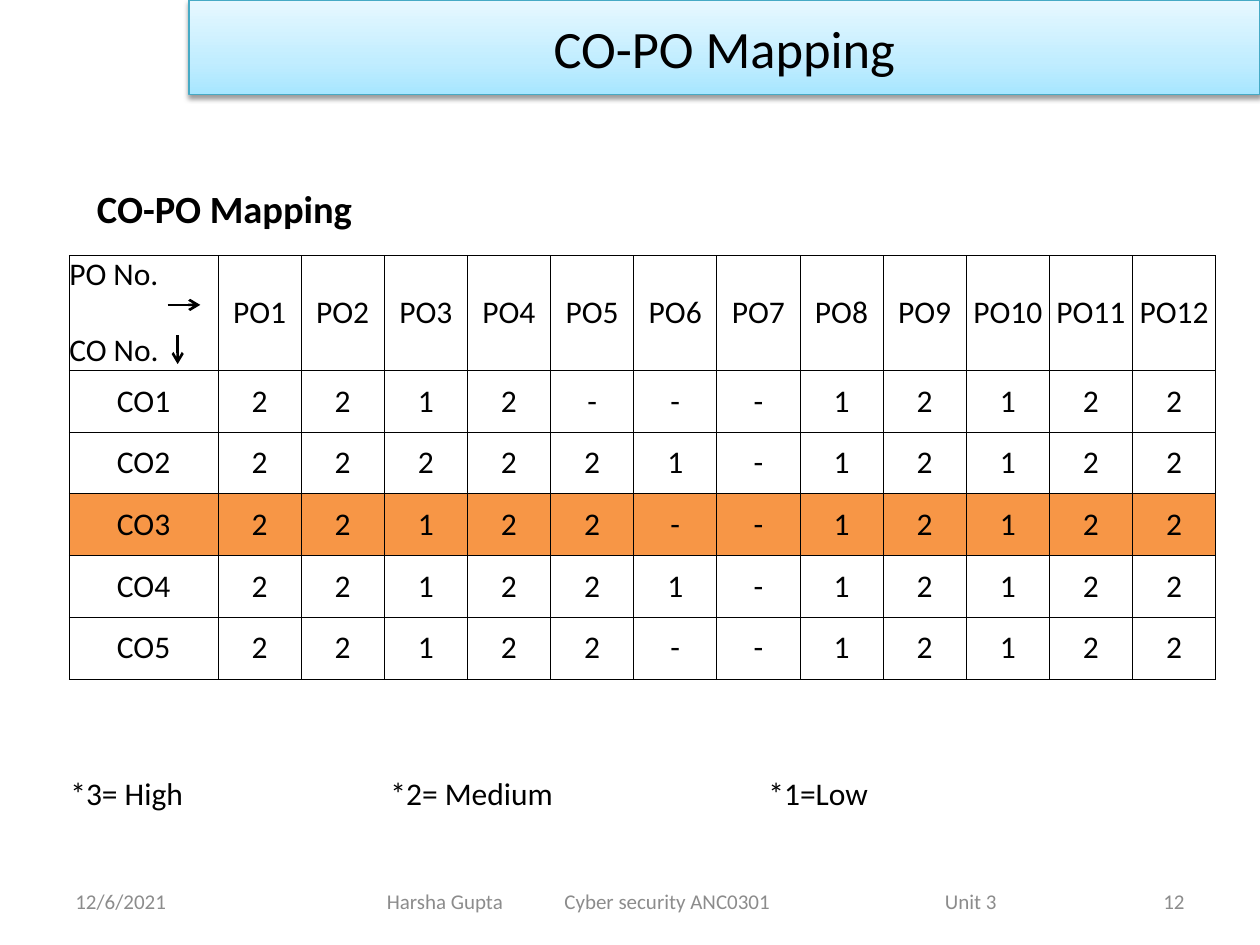
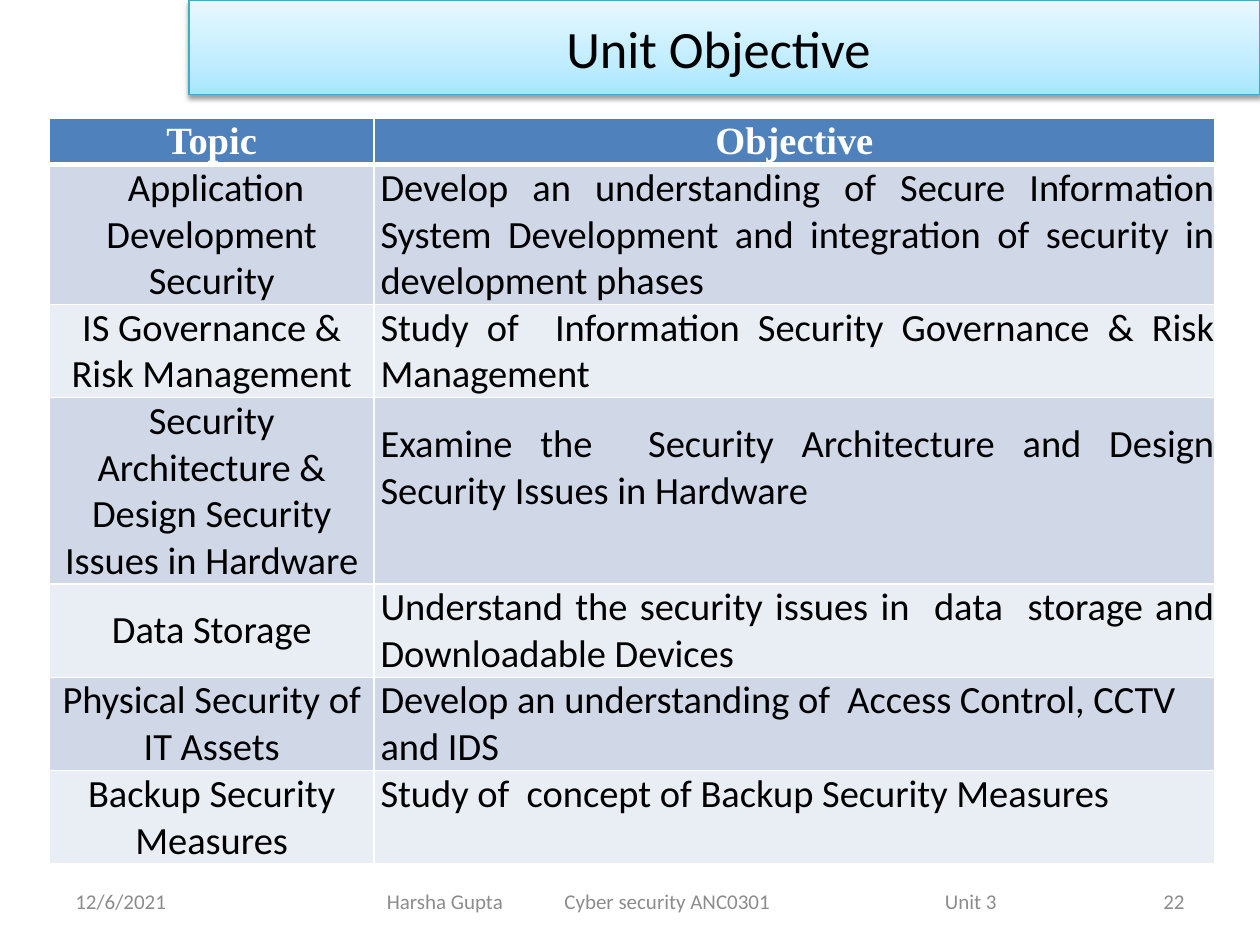
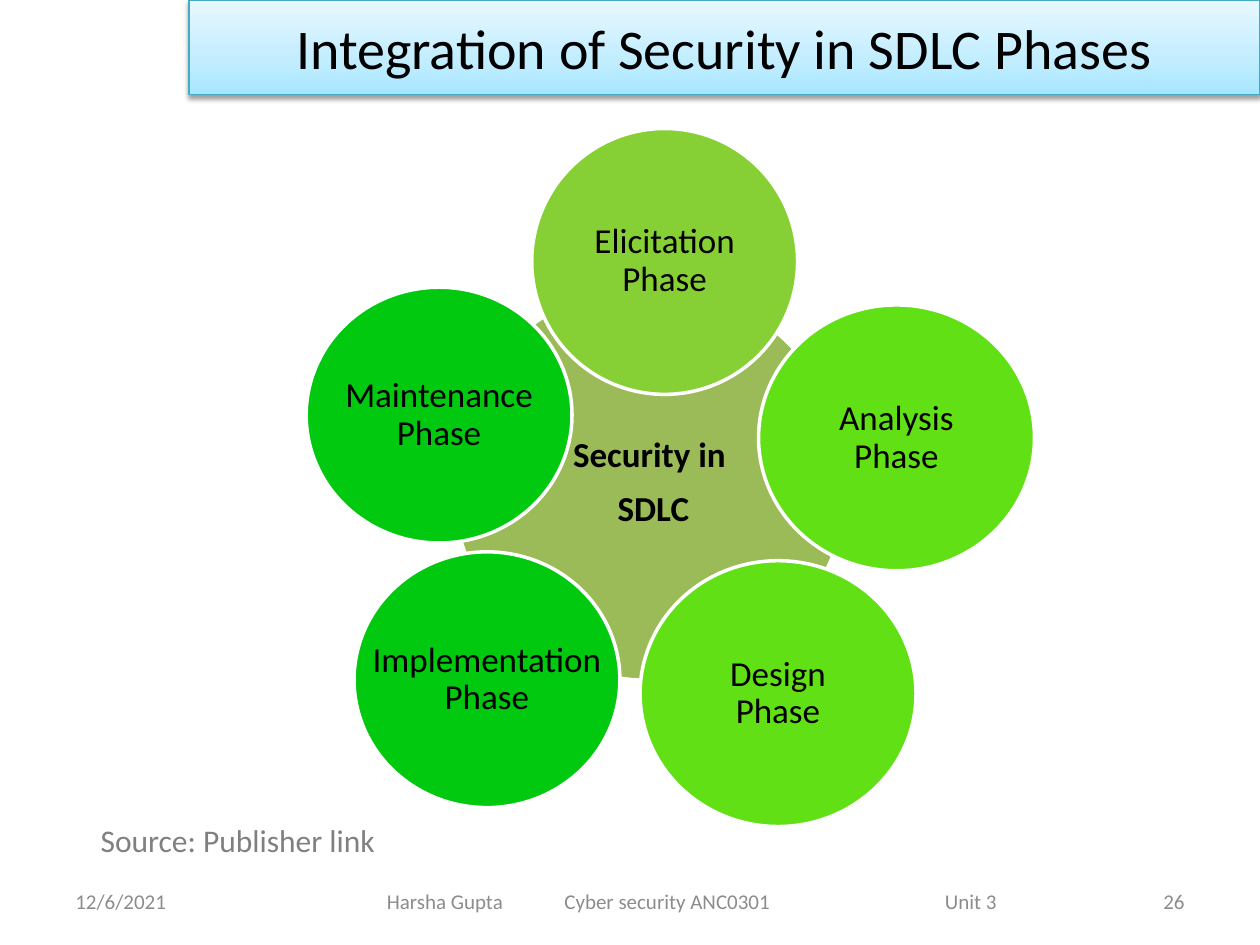
from dataclasses import dataclass

from lxml import etree
from pptx import Presentation
from pptx.dml.color import RGBColor
from pptx.enum.shapes import MSO_CONNECTOR, MSO_SHAPE
from pptx.enum.text import MSO_ANCHOR as ANCHOR, PP_ALIGN as ALIGN
from pptx.oxml.ns import qn
from pptx.util import Inches, Pt


@dataclass(frozen=True)
class Theme:
    font: str = "Calibri"
    header_font: str = "Times New Roman"
    black: str = "000000"
    white: str = "FFFFFF"
    footer: str = "8C8C8C"
    source: str = "808080"
    band_line: str = "46AAC5"
    band_stops: tuple = ((0, "A7E6FF"), (35, "C1EDFF"), (100, "E7F8FF"))
    highlight: str = "F79646"
    header: str = "4F81BD"
    stripes: tuple = ("D0D8E8", "E9EDF4")
    hub: str = "9BBB59"
    title_size: int = 30
    large_title_size: int = 32
    heading_size: int = 22
    phase_size: int = 20
    body_size: int = 18
    footer_size: int = 12


THEME = Theme()

MAPPING = {
    "CO1": "2212---12122",
    "CO2": "222221-12122",
    "CO3": "22122--12122",
    "CO4": "221221-12122",
    "CO5": "22122--12122",
}
CURRENT_OUTCOME = "CO3"

# topic, objective, row height, objective alignment, bottom margin of the objective
OBJECTIVES = [
    (" Application Development Security",
     "Develop an understanding of Secure Information System Development "
     "and integration of security in development phases",
     1.11, ALIGN.JUSTIFY, 0),
    ("IS Governance & Risk Management",
     "Study of  Information Security Governance & Risk Management",
     0.74, ALIGN.JUSTIFY, 0),
    ("Security Architecture & Design Security Issues in Hardware",
     "Examine the  Security Architecture and Design Security Issues in Hardware",
     1.48, ALIGN.JUSTIFY, 0.37),
    ("Data Storage",
     "Understand the security issues in  data  storage and Downloadable Devices",
     0.74, ALIGN.JUSTIFY, 0),
    ("Physical Security of IT Assets",
     "Develop an understanding of  Access Control, CCTV and IDS",
     0.74, ALIGN.LEFT, 0),
    ("Backup Security Measures",
     "Study of  concept of Backup Security Measures",
     0.74, ALIGN.LEFT, 0.37),
]

# name, left, top, width, height, colour
PHASES = [
    ("Elicitation", 4.22, 1.02, 2.11, 2.11, "86D035"),
    ("Analysis", 6.02, 2.42, 2.19, 2.11, "61E016"),
    ("Implementation", 2.81, 4.38, 2.11, 2.03, "00C910"),
    ("Design", 5.08, 4.45, 2.19, 2.11, "61E016"),
    ("Maintenance", 2.43, 2.28, 2.11, 2.03, "00C910"),
]


def rgb(colour):
    return RGBColor.from_string(colour)


def add_xml(parent, tag, **attributes):
    values = {name: str(value) for name, value in attributes.items()}
    return etree.SubElement(parent, qn(tag), values)


def write(frame, text, size, colour=THEME.black, align=ALIGN.LEFT, bold=False,
          font=THEME.font):
    frame.text = text
    for para in frame.paragraphs:
        para.alignment = align
        for span in para.runs:
            span.font.name = font
            span.font.size = Pt(size)
            span.font.bold = bold
            span.font.color.rgb = rgb(colour)


def set_margins(target, left=0, top=0, right=0, bottom=0):
    """Set the inner margins of a text frame or a table cell, in inches."""
    target.margin_left, target.margin_top = Inches(left), Inches(top)
    target.margin_right, target.margin_bottom = Inches(right), Inches(bottom)


def add_text(page, text, left, top, width, height, size, anchor=ANCHOR.MIDDLE, **style):
    box = page.shapes.add_textbox(Inches(left), Inches(top), Inches(width), Inches(height))
    frame = box.text_frame
    frame.word_wrap = True
    frame.vertical_anchor = anchor
    write(frame, text, size, **style)
    return frame


def set_tabs(para, *stops):
    tab_list = add_xml(para._p.get_or_add_pPr(), "a:tabLst")
    for stop in stops:
        add_xml(tab_list, "a:tab", pos=Inches(stop), algn="l")


def add_title_band(page, title, size):
    band = page.shapes.add_shape(
        MSO_SHAPE.RECTANGLE, Inches(1.5), 0, Inches(8.5), Inches(0.75))
    band.line.color.rgb = rgb(THEME.band_line)
    band.line.width = Pt(0.75)
    band.fill.gradient()
    band.fill.gradient_angle = 90
    properties = band._element.spPr
    stops = properties.find(".//" + qn("a:gsLst"))
    for stop in list(stops):
        stops.remove(stop)
    for percent, colour in THEME.band_stops:
        add_xml(add_xml(stops, "a:gs", pos=percent * 1000), "a:srgbClr", val=colour)
    band.shadow.inherit = False
    shadow = add_xml(properties.find(qn("a:effectLst")), "a:outerShdw",
                     blurRad=Pt(3.1), dist=Pt(1.6), dir=90 * 60000, rotWithShape=0)
    add_xml(add_xml(shadow, "a:srgbClr", val=THEME.black), "a:alpha", val=38000)
    band.text_frame.vertical_anchor = ANCHOR.MIDDLE
    write(band.text_frame, title, size, align=ALIGN.CENTER)


def add_footer(page, number):
    style = dict(size=THEME.footer_size, colour=THEME.footer)
    add_text(page, "12/6/2021", 0.5, 6.95, 2.33, 0.4, **style)
    add_text(page, str(number), 7.17, 6.95, 2.33, 0.4, align=ALIGN.RIGHT, **style)
    course = add_text(page, "Harsha Gupta\tCyber security ANC0301\tUnit 3",
                      2.75, 6.95, 5.5, 0.4, **style)
    set_margins(course, 0.32, 0.05, 0.1, 0.05)
    set_tabs(course.paragraphs[0], 1.41, 4.43)


def add_page(deck, title, number, title_size=THEME.title_size):
    page = deck.slides.add_slide(deck.slide_layouts[6])
    add_title_band(page, title, title_size)
    add_footer(page, number)
    return page


def add_grid(page, left, top, widths, heights):
    """Add a plain table whose columns and rows have the given sizes."""
    grid = page.shapes.add_table(
        len(heights), len(widths), Inches(left), Inches(top),
        Inches(sum(widths)), Inches(sum(heights))).table
    grid.first_row = grid.horz_banding = False
    for column, width in zip(grid.columns, widths):
        column.width = Inches(width)
    for row, height in zip(grid.rows, heights):
        row.height = Inches(height)
    return grid


def fill_cell(cell, text, size, fill, border, top=1, bottom=1, margins=None, **style):
    """Write a cell; top and bottom are border widths in points, as are the sides."""
    write(cell.text_frame, text, size, **style)
    cell.vertical_anchor = ANCHOR.MIDDLE
    set_margins(cell, **(margins or {}))
    properties = cell._tc.get_or_add_tcPr()
    side = min(top, bottom)
    for tag, width in (("lnL", side), ("lnR", side), ("lnT", top), ("lnB", bottom)):
        line = add_xml(properties, "a:" + tag, w=Pt(width))
        add_xml(add_xml(line, "a:solidFill"), "a:srgbClr", val=border)
    cell.fill.solid()
    cell.fill.fore_color.rgb = rgb(fill)


def add_arrow(page, x1, y1, x2, y2):
    arrow = page.shapes.add_connector(
        MSO_CONNECTOR.STRAIGHT, Inches(x1), Inches(y1), Inches(x2), Inches(y2))
    arrow.line.color.rgb = rgb(THEME.black)
    arrow.line.width = Pt(1.5)
    add_xml(arrow.line._get_or_add_ln(), "a:tailEnd", type="arrow")
    add_xml(arrow._element.spPr, "a:effectLst")


def add_circle(page, text, left, top, width, height, colour, bold=False):
    circle = page.shapes.add_shape(
        MSO_SHAPE.OVAL, Inches(left), Inches(top), Inches(width), Inches(height))
    circle.shadow.inherit = False
    circle.fill.solid()
    circle.fill.fore_color.rgb = rgb(colour)
    circle.line.color.rgb = rgb(THEME.white)
    circle.line.width = Pt(2)
    frame = circle.text_frame
    frame.word_wrap = False
    frame.vertical_anchor = ANCHOR.MIDDLE
    set_margins(frame)
    write(frame, text, THEME.phase_size, align=ALIGN.CENTER, bold=bold)
    for para in frame.paragraphs:
        para.line_spacing = 0.9
    return frame


def add_mapping_page(deck):
    page = add_page(deck, "CO-PO Mapping", 12)
    heading = add_text(page, "CO-PO Mapping", 0.47, 1.41, 4.14, 0.72,
                       THEME.heading_size, anchor=ANCHOR.TOP, bold=True)
    set_margins(heading, 0.3, 0.06, 0.1)

    outcomes = [f"PO{number}" for number in range(1, 13)]
    rows = [["PO No.\nCO No.", *outcomes]]
    rows += [[name, *levels] for name, levels in MAPPING.items()]
    grid = add_grid(page, 0.55, 2.03, [1.18] + [0.66] * len(outcomes),
                    [0.91] + [0.49] * len(MAPPING))
    for r, values in enumerate(rows):
        fill = THEME.highlight if values[0] == CURRENT_OUTCOME else THEME.white
        for c, value in enumerate(values):
            fill_cell(grid.cell(r, c), value, THEME.body_size, fill, THEME.black,
                      top=0.5, bottom=0.5,
                      align=ALIGN.CENTER if r or c else ALIGN.LEFT)
    grid.cell(0, 0).text_frame.paragraphs[1].space_before = Pt(21.5)
    add_arrow(page, 1.33, 2.42, 1.59, 2.42)
    add_arrow(page, 1.41, 2.66, 1.41, 2.89)

    legend = add_text(page, "*3= High\t*2= Medium\t*1=Low", 0.46, 6.09, 9.31, 0.4,
                      THEME.body_size)
    set_tabs(legend.paragraphs[0], 2.54, 5.54)


def add_objective_page(deck):
    page = add_page(deck, "Unit Objective ", 22)
    heights = [0.34] + [height for _, _, height, _, _ in OBJECTIVES]
    grid = add_grid(page, 0.39, 0.94, [2.58, 6.67], heights)
    for c, name in enumerate(("Topic", "Objective")):
        fill_cell(grid.cell(0, c), name, THEME.heading_size, THEME.header, THEME.white,
                  bottom=3, colour=THEME.white, align=ALIGN.CENTER, bold=True,
                  font=THEME.header_font)
    for r, (topic, objective, _, align, bottom) in enumerate(OBJECTIVES, start=1):
        style = dict(size=THEME.heading_size, fill=THEME.stripes[(r - 1) % 2],
                     border=THEME.white, top=3 if r == 1 else 1)
        fill_cell(grid.cell(r, 0), topic, align=ALIGN.CENTER, **style)
        fill_cell(grid.cell(r, 1), objective, align=align,
                  margins=dict(left=0.05, bottom=bottom), **style)


def add_phases_page(deck):
    page = add_page(deck, "Integration of Security in SDLC Phases", 26,
                    THEME.large_title_size)
    hub = add_circle(page, "Security in\n SDLC", 3.59, 2.27, 3.13, 3.13, THEME.hub, bold=True)
    hub.paragraphs[1].space_before = Pt(9)
    for name, left, top, width, height, colour in PHASES:
        add_circle(page, f"{name}\vPhase", left, top, width, height, colour)
    add_text(page, "Source: Publisher link", 0.7, 6.47, 7.81, 0.4, THEME.body_size,
             anchor=ANCHOR.TOP, colour=THEME.source)


def main():
    deck = Presentation()
    deck.slide_width, deck.slide_height = Inches(10), Inches(7.5)
    add_mapping_page(deck)
    add_objective_page(deck)
    add_phases_page(deck)
    deck.save("out.pptx")


if __name__ == "__main__":
    main()
